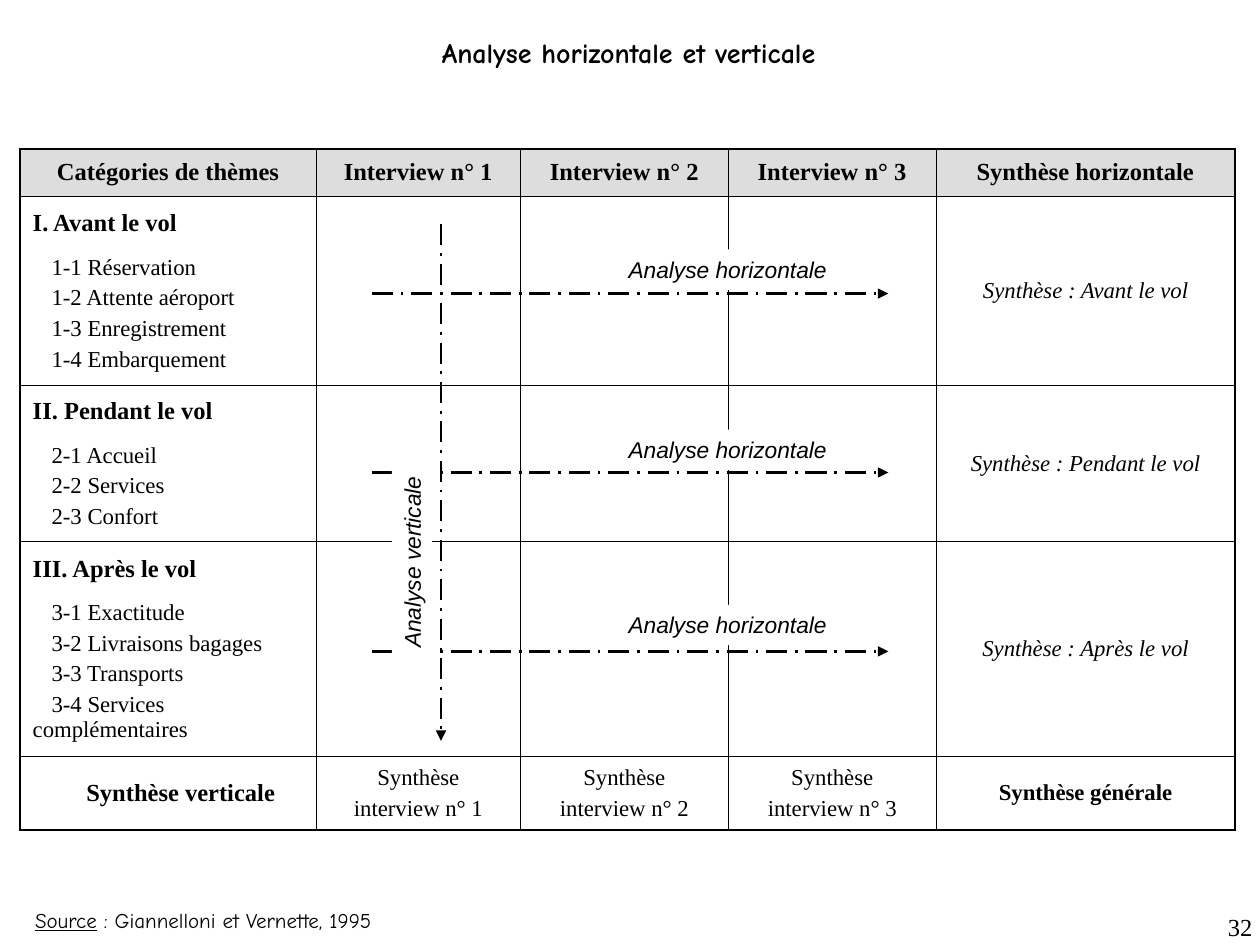
from lxml.etree import SubElement
from pptx import Presentation
from pptx.dml.color import RGBColor
from pptx.enum.dml import MSO_LINE
from pptx.enum.shapes import MSO_CONNECTOR, MSO_SHAPE
from pptx.enum.text import MSO_ANCHOR, PP_ALIGN
from pptx.oxml import parse_xml
from pptx.oxml.ns import nsdecls, qn
from pptx.util import Inches, Pt

BLACK = RGBColor(0x00, 0x00, 0x00)
WHITE = RGBColor(0xFF, 0xFF, 0xFF)
GREY = RGBColor(0xDD, 0xDD, 0xDD)
SERIF, SANS, COMIC = "Times New Roman", "Arial", "Comic Neue"

HEADERS = ["Catégories de thèmes", "Interview n° 1", "Interview n° 2",
           "Interview n° 3", "Synthèse horizontale"]
THEMES = [
    ("I. Avant le vol", ["1-1 Réservation", "1-2 Attente aéroport",
                         "1-3 Enregistrement", "1-4 Embarquement"],
     "Synthèse : Avant le vol"),
    ("II. Pendant le vol", ["2-1 Accueil", "2-2 Services", "2-3 Confort"],
     "Synthèse : Pendant le vol"),
    ("III. Après le vol", ["3-1 Exactitude", "3-2 Livraisons bagages",
                           "3-3 Transports", "3-4 Services complémentaires"],
     "Synthèse : Après le vol"),
]
COL_WIDTHS = [2.35, 1.62, 1.65, 1.65, 2.37]
ROW_HEIGHTS = [0.38, 1.5, 1.24, 1.7, 0.59]
TABLE_LEFT, TABLE_TOP = 0.16, 1.18
THIN, THICK = 0.45, 1.08

LABEL_TOPS = [1.98, 3.41, 4.8]
ARROW_TOP, ARROW_STEP = 2.33, 1.42

HEADING = dict(size=Pt(14), bold=True)
ITEM = dict(size=Pt(13))
LABEL = dict(size=Pt(13), name=SANS, italic=True)


def set_font(target, **values):
    target.font.color.rgb = BLACK
    for name, value in values.items():
        setattr(target.font, name, value)


def write(p, text, align=PP_ALIGN.LEFT, before=0, indent=0, **font):
    """Fill one paragraph; indent moves its first line only."""
    p.alignment = align
    p.space_before = Pt(before)
    if indent:
        pPr = p._p.get_or_add_pPr()
        pPr.set("marL", "0")
        pPr.set("indent", str(Inches(indent)))
    r = p.add_run()
    r.text = text
    set_font(r, **{"name": SERIF, **font})


def set_borders(cell, row, col):
    last_row, last_col = len(ROW_HEIGHTS) - 1, len(COL_WIDTHS) - 1
    outer = {"L": col == 0, "R": col == last_col,
             "T": row == 0, "B": row == last_row}
    tcPr = cell._tc.get_or_add_tcPr()
    for i, (side, is_outer) in enumerate(outer.items()):
        width = Pt(THICK if is_outer else THIN)
        tcPr.insert(i, parse_xml(
            f'<a:ln{side} {nsdecls("a")} w="{width}"><a:solidFill>'
            f'<a:srgbClr val="{BLACK}"/></a:solidFill></a:ln{side}>'))


def add_table(s):
    frame = s.shapes.add_table(
        len(ROW_HEIGHTS), len(COL_WIDTHS), Inches(TABLE_LEFT), Inches(TABLE_TOP),
        Inches(sum(COL_WIDTHS)), Inches(sum(ROW_HEIGHTS)))
    table = frame.table
    for col, width in zip(table.columns, COL_WIDTHS):
        col.width = Inches(width)
    for r, height in enumerate(ROW_HEIGHTS):
        table.rows[r].height = Inches(height)
        for c in range(len(COL_WIDTHS)):
            cell = table.cell(r, c)
            cell.vertical_anchor = MSO_ANCHOR.MIDDLE
            if r == 0:
                cell.fill.solid()
                cell.fill.fore_color.rgb = GREY
            else:
                cell.fill.background()
            set_borders(cell, r, c)

    def first(row, col):
        return table.cell(row, col).text_frame.paragraphs[0]

    center = PP_ALIGN.CENTER
    for c, header in enumerate(HEADERS):
        write(first(0, c), header, center, **HEADING)
    for r, (heading, items, summary) in enumerate(THEMES, 1):
        write(first(r, 0), heading, **HEADING)
        for i, item in enumerate(items):
            write(table.cell(r, 0).text_frame.add_paragraph(), item,
                  before=3.3 if i else 10.3, indent=0.15, **ITEM)
        write(first(r, 4), summary, center, italic=True, **ITEM)

    last = len(ROW_HEIGHTS) - 1
    write(first(last, 0), "Synthèse verticale", center, indent=0.2, **HEADING)
    for n in (1, 2, 3):
        write(first(last, n), "Synthèse", center, **ITEM)
        write(table.cell(last, n).text_frame.add_paragraph(),
              f"interview n° {n}", center, before=3.3, **ITEM)
    write(first(last, 4), "Synthèse générale", center, bold=True, **ITEM)


def add_text(s, box, text, align=PP_ALIGN.LEFT, **font):
    tb = s.shapes.add_textbox(*map(Inches, box))
    tb.text_frame.word_wrap = False
    write(tb.text_frame.paragraphs[0], text, align, **font)
    return tb


def add_label(s, box, text, rotation=0):
    label = s.shapes.add_shape(MSO_SHAPE.RECTANGLE, *map(Inches, box))
    label.shadow.inherit = False
    label.fill.solid()
    label.fill.fore_color.rgb = WHITE
    label.line.fill.background()
    label.rotation = rotation
    tf = label.text_frame
    tf.word_wrap = False
    tf.vertical_anchor = MSO_ANCHOR.TOP
    write(tf.paragraphs[0], text, **LABEL)


def add_arrow(s, *ends):
    line = s.shapes.add_connector(MSO_CONNECTOR.STRAIGHT, *map(Inches, ends))
    line.line.color.rgb = BLACK
    line.line.width = Pt(1.5)
    line.line.dash_style = MSO_LINE.LONG_DASH_DOT
    SubElement(line.line._get_or_add_ln(), qn("a:tailEnd"), type="triangle")
    SubElement(line._element.spPr, qn("a:effectLst"))


def main():
    prs = Presentation()
    prs.slide_width, prs.slide_height = Inches(10), Inches(7.5)
    s = prs.slides.add_slide(prs.slide_layouts[6])

    add_table(s)
    source = add_text(s, (0.18, 7.15, 2.89, 0.3), "Source",
                      name=COMIC, size=Pt(12), underline=True)
    r = source.text_frame.paragraphs[0].add_run()
    r.text = " : Giannelloni et Vernette, 1995"
    set_font(r, name=COMIC, size=Pt(12))
    add_text(s, (3.4, 0.23, 3.18, 0.37), "Analyse horizontale et verticale",
             PP_ALIGN.CENTER, name=COMIC, size=Pt(16), bold=True)

    for top in LABEL_TOPS:
        add_label(s, (4.89, top, 1.77, 0.32), "Analyse horizontale")
    for i in range(len(THEMES)):
        y = ARROW_TOP + i * ARROW_STEP
        add_arrow(s, 2.95, y, 7.05, y)
    add_arrow(s, 3.5, 1.78, 3.5, 5.88)
    add_label(s, (2.49, 4.3, 1.56, 0.32), "Analyse verticale", rotation=270)

    number = add_text(s, (7.96, 7.19, 2.04, 0.31), "32", PP_ALIGN.RIGHT, size=Pt(14))
    number.text_frame.word_wrap = True
    number.text_frame.margin_right = Inches(0.06)
    prs.save("out.pptx")


if __name__ == "__main__":
    main()
